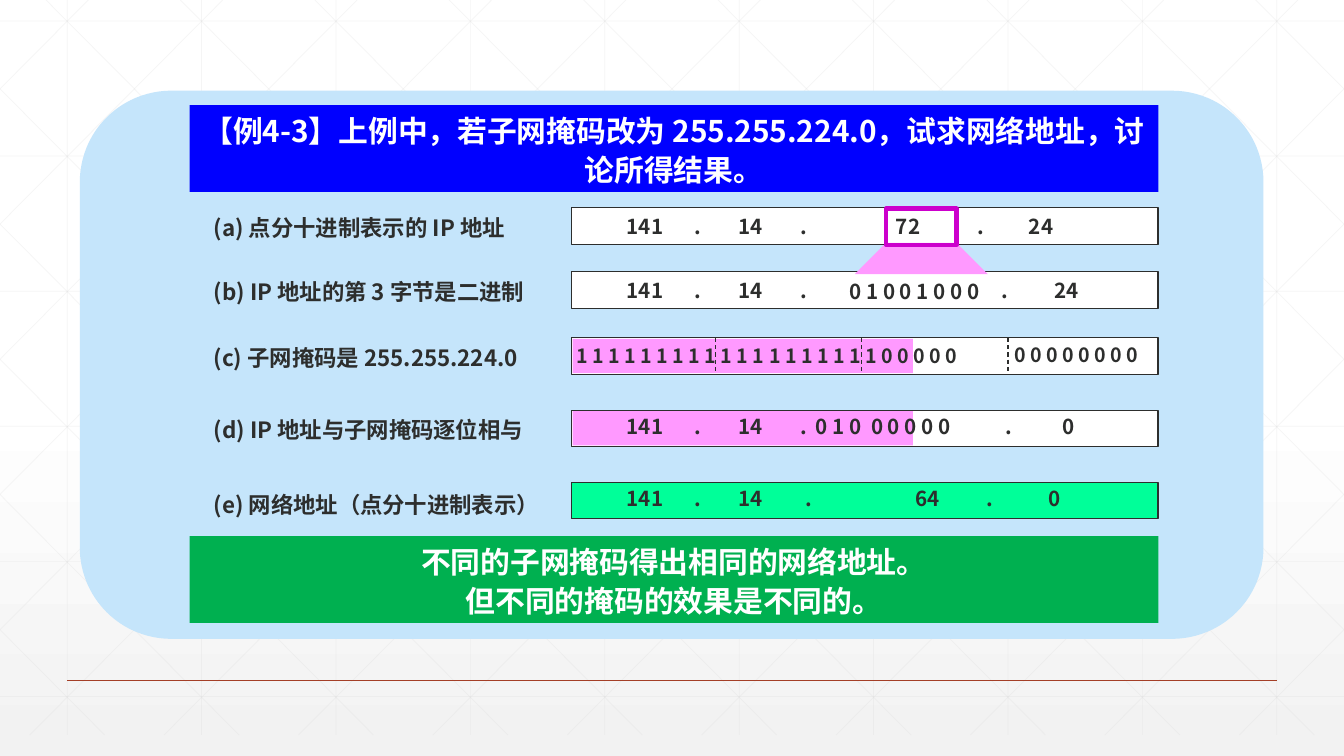
from lxml.etree import SubElement as Sub, Element as Elem
from pptx import Presentation as Deck
from pptx.dml.color import RGBColor as RGB
from pptx.enum.dml import MSO_LINE as Dash
from pptx.enum.shapes import MSO_CONNECTOR as Conn, MSO_SHAPE as Kind
from pptx.enum.text import MSO_ANCHOR as Anchor, MSO_AUTO_SIZE as Auto, PP_ALIGN as Align
from pptx.oxml.ns import qn
from pptx.util import Pt

WIDE, HIGH = 960, 540
FONT = "Noto Sans CJK SC"
HUES = {
    "ink": "2D2E2D", "white": "FFFFFF", "mist": "F2F2F2", "grid": "D9D9D9",
    "rule": "A43F27", "panel": "C5E5FB", "blue": "0000FF", "green": "00B050",
    "mint": "00FF99", "pink": "FF99FF", "plum": "CC00CC",
}


def hue(name):
    return RGB.from_string(HUES[name])


class Board:
    """Holds the current slide and its style."""

    def __init__(self, deck):
        self.slide = deck.slides.add_slide(deck.slide_layouts[5])
        self.shapes = self.slide.shapes

    def back(self):
        fill = self.slide.background.fill
        fill.gradient()
        fill.gradient_angle = 270
        for stop, name, spot in zip(fill.gradient_stops, ("white", "mist"), (0.53, 1)):
            stop.color.rgb = hue(name)
            stop.position = spot

    def paint(self, shape, fill=None, line=None, width=0.75):
        shape.shadow.inherit = False
        if fill:
            shape.fill.solid()
            shape.fill.fore_color.rgb = hue(fill)
        else:
            shape.fill.background()
        if line:
            shape.line.color.rgb = hue(line)
            shape.line.width = Pt(width)
        else:
            shape.line.fill.background()

    def box(self, x, y, w, h, fill=None, line=None, width=0.75, kind=Kind.RECTANGLE):
        shape = self.shapes.add_shape(kind, Pt(x), Pt(y), Pt(w), Pt(h))
        self.paint(shape, fill, line, width)
        return shape

    def shape(self, spots, fill):
        pen = self.shapes.build_freeform(*map(Pt, spots[0]), scale=1.0)
        pen.add_line_segments([(Pt(x), Pt(y)) for x, y in spots[1:]], close=True)
        self.paint(pen.convert_to_shape(), fill)

    def line(self, x1, y1, x2, y2, name, width, dash=None, alpha=None):
        line = self.shapes.add_connector(Conn.STRAIGHT, Pt(x1), Pt(y1), Pt(x2), Pt(y2))
        line.line.color.rgb = hue(name)
        line.line.width = Pt(width)
        if dash:
            line.line.dash_style = dash
        props = line._element.spPr
        if alpha:
            tint = props.find(".//" + qn("a:srgbClr"))
            Sub(tint, qn("a:alpha"), val=str(alpha * 1000))
        Sub(props, qn("a:effectLst"))

    def style(self, para, size, name, tabs=()):
        font = para.font
        font.size, font.bold, font.name = Pt(size), True, FONT
        font.color.rgb = hue(name)
        base = para._p.pPr.find(qn("a:defRPr"))
        Sub(base, qn("a:ea"), typeface=FONT)
        if tabs:
            stops = Elem(qn("a:tabLst"))
            for tab in tabs:
                Sub(stops, qn("a:tab"), pos=str(Pt(tab)), algn="l")
            base.addprevious(stops)

    def text(self, x, y, w, words, size=14.7, tabs=(), pad=(7.2, 3.6)):
        frame = self.shapes.add_textbox(Pt(x), Pt(y), Pt(w), Pt(26)).text_frame
        frame.word_wrap = True
        frame.margin_left = frame.margin_right = Pt(pad[0])
        frame.margin_top = frame.margin_bottom = Pt(pad[1])
        frame.text = words
        self.style(frame.paragraphs[0], size, "ink", tabs)

    def band(self, shape, y, fill, words):
        shape.left, shape.top, shape.width, shape.height = map(Pt, (135.4, y, 692, 62))
        self.paint(shape, fill)
        frame = shape.text_frame
        frame.word_wrap, frame.auto_size = True, Auto.NONE
        frame.vertical_anchor = Anchor.MIDDLE
        frame.text = words
        for para in frame.paragraphs:
            para.alignment, para.line_spacing = Align.CENTER, 1.1
            self.style(para, 21.3, "white")

    def title(self, y, fill, words):
        shape = self.shapes.title
        self.band(shape, y, fill, words)
        shape._element.getparent().append(shape._element)  # bring to front

    def mesh(self):
        step, low, lift, lean = 96, 525, 15, 0.994

        def ray(*ends):
            self.line(*ends, "grid", 0.5, alpha=25)

        for i in range(10):
            ray(48 + step * i, 0, 48 + step * i, low)
        for i in range(6):
            ray(0, lift + 96.5 * i, WIDE, lift + 96.5 * i)
        # Slanted lines in mirrored pairs, cut at the slide edges
        for i in range(-5, 10):
            start = 18 + step * i
            top = max(0, -start / lean - lift)
            end = min(low, (WIDE - start) / lean - lift)
            x1, x2 = (start + lean * (y + lift) for y in (top, end))
            ray(x1, top, x2, end)
            ray(WIDE - x1, top, WIDE - x2, end)


def main():
    deck = Deck()
    deck.slide_width, deck.slide_height = Pt(WIDE), Pt(HIGH)
    board = Board(deck)

    # Backdrop
    board.back()
    board.mesh()
    board.line(48, 486, 912, 486, "rule", 1)
    board.box(57, 64.8, 845.5, 391.5, "panel", kind=Kind.ROUNDED_RECTANGLE)

    # Row frames with their labels
    wide = (9.4, 4.3)
    rows = [
        (148.5, "white", 149, 233, "(a) 点分十进制表示的 IP 地址"),
        (194.2, "white", 194.4, 249, "(b) IP 地址的第 3 字节是二进制"),
        (241.4, "white", 241.2, 262, "(c) 子网掩码是 255.255.224.0"),
        (293, "white", 293, 262, "(d) IP 地址与子网掩码逐位相与"),
        (344.6, "mint", 346.3, 262, "(e) 网络地址（点分十进制表示）"),
    ]
    for y, fill, top, span, words in rows:
        board.box(408.2, y, 419, 26, fill, "ink")
        board.text(143.3, top, span, words, 16, pad=wide)

    # Masked part and the widening of the third byte
    for y in (242, 293.6):
        board.box(409, y, 243, 24.6, "pink")
    board.shape([(632.9, 173.5), (683.3, 173.5), (705.6, 195.8), (610.6, 195.8)], "pink")

    # Leading bytes, the same columns in each row
    lead = "141\t.\t14\t."
    cols = (48.5, 80, 124)
    for y, words, tabs in [
        (149, lead, cols),
        (195.1, lead, cols),
        (292.3, lead + "\t0 1 0\t0 0 0 0 0", cols + (135, 174.5)),
        (343.4, lead, cols[:2] + (128,)),
    ]:
        board.text(440.6, y, 292, words, tabs=tabs)

    # Trailing bytes
    for x, y, words, tabs in [
        (619.9, 149, "\t72\t.\t24", (13, 71, 108)),
        (704.9, 195.1, " .\t24", (41,)),
        (707.8, 292.3, " .\t0", (44,)),
        (646.6, 343.4, "64\t.\t0", (51, 95)),
    ]:
        board.text(x, y, 170, words, tabs=tabs)

    # Binary digits
    board.text(594, 195.1, 128, " 0 1 0 0 1 0 0 0", pad=wide)
    board.text(402.5, 241.2, 324, " ".join("1" * 19 + "0" * 5), 14, pad=wide)
    board.text(715, 240.5, 118, " ".join("0" * 8), 14, pad=wide)

    # Byte borders and the marked byte
    for x in (511.2, 615.6, 720):
        board.line(x, 241.4, x, 267, "ink", 0.75, Dash.DASH)
    board.box(632.9, 149, 50.4, 26, line="plum", width=3)

    # Question and conclusion
    foot = board.box(135.4, 383, 692, 62)
    board.band(foot, 383, "green", "不同的子网掩码得出相同的网络地址。\n但不同的掩码的效果是不同的。")
    board.title(75, "blue", "【例4-3】上例中，若子网掩码改为 255.255.224.0，试求网络地址，讨论所得结果。")
    deck.save("out.pptx")


if __name__ == "__main__":
    main()
